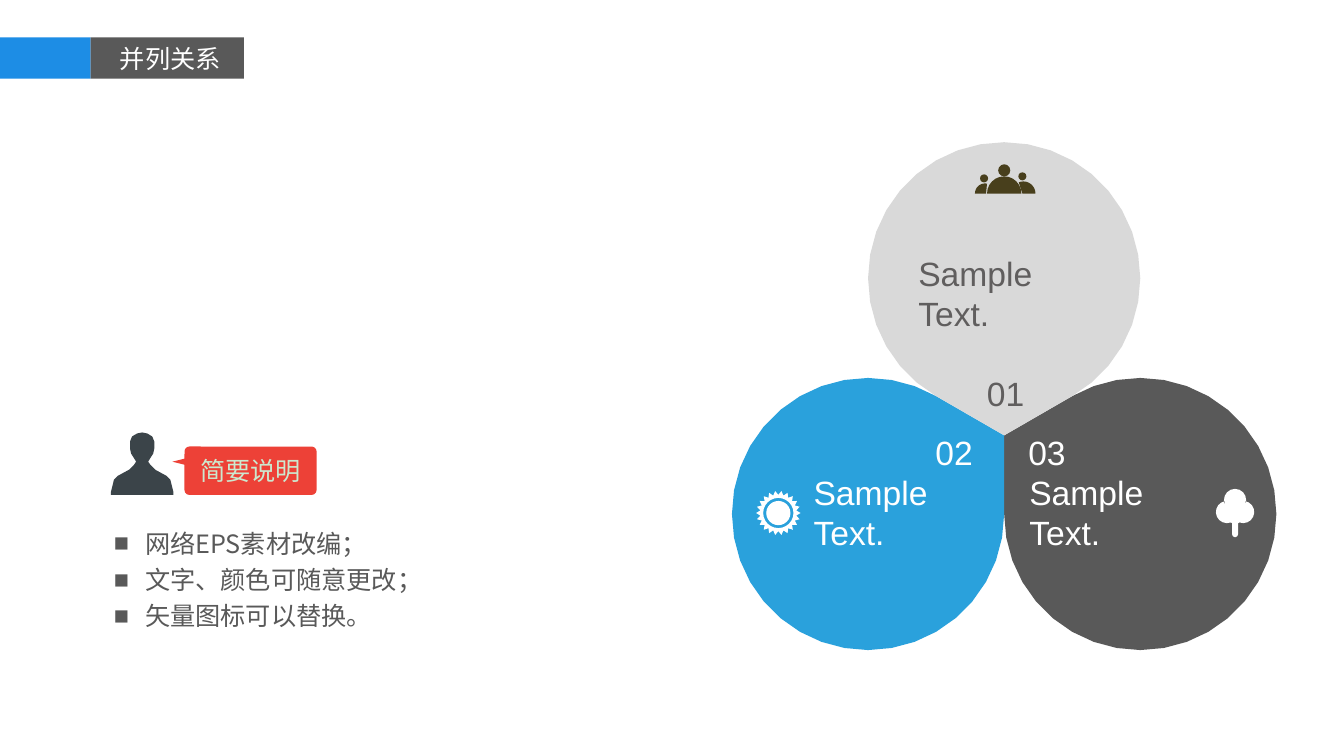
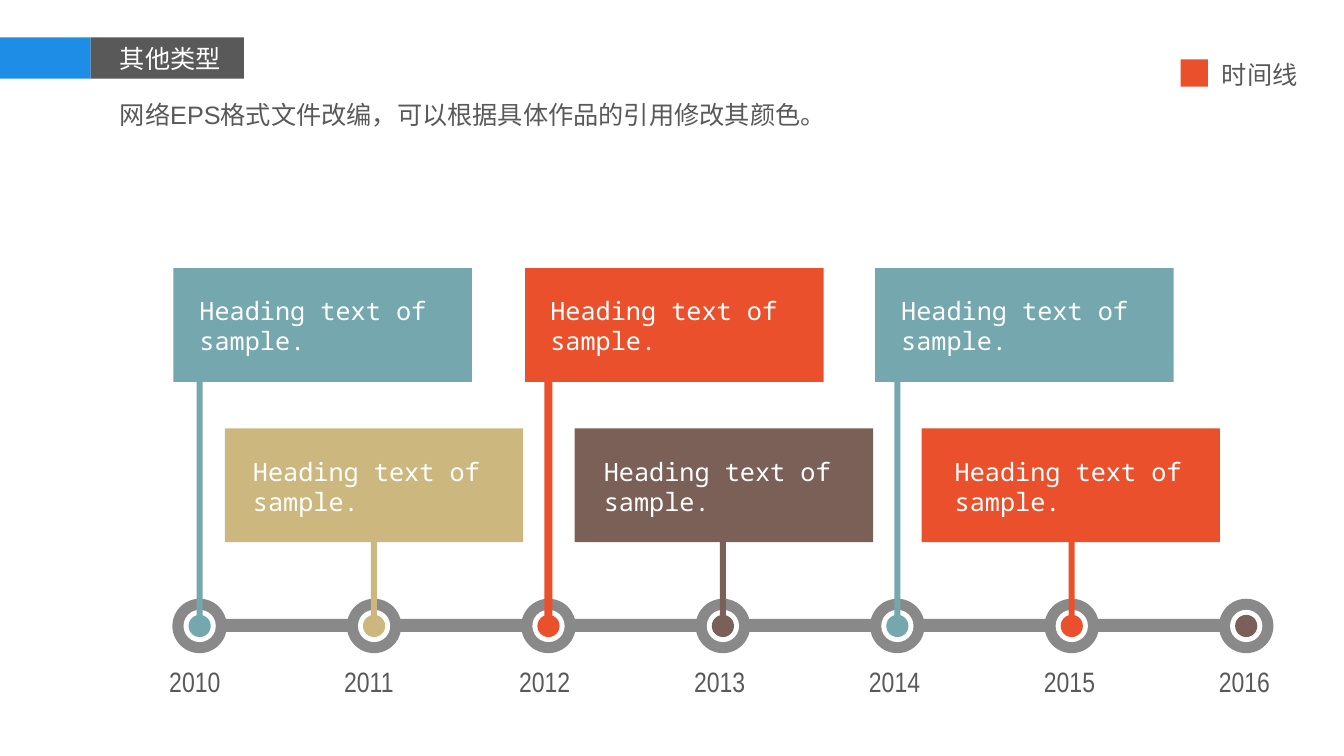
from dataclasses import dataclass
from math import cos, hypot, pi, radians, sin

from lxml.etree import SubElement
from pptx import Presentation
from pptx.dml.color import RGBColor
from pptx.enum.shapes import MSO_SHAPE
from pptx.enum.text import MSO_ANCHOR, PP_ALIGN
from pptx.oxml.ns import qn
from pptx.util import Inches, Pt


@dataclass(frozen=True)
class Theme:
    white: str = "FFFFFF"
    blue: str = "1D8DE5"
    dark: str = "595959"
    petal_blue: str = "2AA1DC"
    petal_grey: str = "D9D9D9"
    petal_text: str = "605E5E"
    people: str = "483F1C"
    person: str = "3B4449"
    tag: str = "ED4137"
    tag_text: str = "CCE8CF"
    track: str = "898989"
    teal: str = "74A7AE"
    sand: str = "CCB77F"
    orange: str = "EA502C"
    brown: str = "7B6057"
    sans: str = "Arial"
    narrow: str = "Arial Narrow"
    cjk: str = "Noto Sans CJK SC"
    mono: str = "Noto Sans Mono"
    body: int = 18
    year: int = 20
    large: int = 24


THEME = Theme()


# Basic elements

def paint(shape, color):
    shape.shadow.inherit = False
    shape.fill.solid()
    shape.fill.fore_color.rgb = RGBColor.from_string(color)
    shape.line.fill.background()
    return shape


def add_block(slide, left, top, width, height, color, kind=MSO_SHAPE.RECTANGLE):
    shape = slide.shapes.add_shape(
        kind, Inches(left), Inches(top), Inches(width), Inches(height))
    return paint(shape, color)


def add_disc(slide, x, y, radius, color):
    add_block(slide, x - radius, y - radius, 2 * radius, 2 * radius,
              color, MSO_SHAPE.OVAL)


def add_outline(slide, color, *contours):
    """One shape from closed contours; a second contour cuts a hole."""
    builder = None
    for contour in contours:
        start, *rest = [(Inches(x), Inches(y)) for x, y in contour]
        if builder is None:
            builder = slide.shapes.build_freeform(*start)
        else:
            builder.move_to(*start)
        builder.add_line_segments(rest, close=True)
    paint(builder.convert_to_shape(), color)


def arc(x, y, radius, first, last, steps):
    """Points on a circle, in degrees clockwise from the right."""
    angles = [radians(first + (last - first) * i / steps) for i in range(steps + 1)]
    return [(x + radius * cos(a), y + radius * sin(a)) for a in angles]


def style_paragraph(paragraph, color, font, size):
    paragraph.font.name = font
    paragraph.font.size = Pt(size)
    paragraph.font.color.rgb = RGBColor.from_string(color)
    defaults = paragraph._p.pPr.find(qn("a:defRPr"))
    SubElement(defaults, qn("a:ea")).set("typeface", THEME.cjk)


def add_text(slide, left, top, width, height, lines, color,
             font=THEME.sans, size=THEME.body):
    box = slide.shapes.add_textbox(
        Inches(left), Inches(top), Inches(width), Inches(height))
    frame = box.text_frame
    frame.word_wrap = True
    frame.text = lines
    for paragraph in frame.paragraphs:
        style_paragraph(paragraph, color, font, size)
    return frame


def add_bullet(paragraph):
    paragraph.line_spacing = 1.2
    properties = paragraph._p.pPr
    properties.set("marL", str(Inches(0.31)))
    properties.set("indent", str(-Inches(0.31)))
    defaults = properties.find(qn("a:defRPr"))
    for tag, name, value in (("a:buFont", "typeface", THEME.sans),
                             ("a:buChar", "char", "■")):
        defaults.addprevious(properties.makeelement(qn(tag), {name: value}))


def add_header(slide, title):
    add_block(slide, 0, 0.37, 0.9, 0.41, THEME.blue)
    add_block(slide, 0.9, 0.37, 1.52, 0.41, THEME.dark)
    add_text(slide, 1.09, 0.38, 1.27, 0.4, title, THEME.white)


# Icons

def add_person(slide, x):
    profile = [(0, 4.29), (0.05, 4.3), (0.1, 4.33), (0.12, 4.38), (0.12, 4.45),
               (0.11, 4.5), (0.09, 4.53), (0.06, 4.58), (0.08, 4.61),
               (0.13, 4.66), (0.24, 4.72), (0.28, 4.76), (0.31, 4.88), (0.31, 4.91)]
    right = [(x + dx, y) for dx, y in profile]
    left = [(x - dx, y) for dx, y in reversed(profile[1:])]
    add_outline(slide, THEME.person, right + left)


def add_people(slide, x, base):
    for dx, rise, radius in ((0, 0.23, 0.06), (0.18, 0.17, 0.04), (-0.2, 0.15, 0.04)):
        add_disc(slide, x + dx, base - rise, radius, THEME.people)
    add_outline(slide, THEME.people, arc(x, base, 0.17, 180, 360, 12))
    # Neighbours stop short of the middle shoulders
    gap = 0.18
    for side, radius in ((-1, 0.1), (1, 0.12)):
        dome = arc(x + side * 0.19, base, radius, 90 - side * 90, 90 - side * 270, 16)
        wing = [(px, py) for px, py in dome if hypot(px - x, py - base) >= gap]
        add_outline(slide, THEME.people, wing + [(x + side * gap, base)])


def add_sun(slide, x, y):
    teeth = 22
    rays = []
    for i in range(2 * teeth):
        radius = 0.18 if i % 2 else 0.22
        rays.append((x + radius * cos(pi * i / teeth), y + radius * sin(pi * i / teeth)))
    add_disc(slide, x, y, 0.12, THEME.white)
    add_outline(slide, THEME.white, rays, arc(x, y, 0.15, 360, 0, 24))


def add_tree(slide, x, y):
    crown = (arc(x - 0.08, y, 0.11, 70, 260, 9)
             + arc(x, y - 0.12, 0.11, 155, 385, 10)
             + arc(x + 0.08, y, 0.11, -80, 110, 9))
    trunk = arc(x, y + 0.22, 0.03, 0, 180, 4)
    add_outline(slide, THEME.white,
                crown + [(x + 0.03, y + 0.11)] + trunk + [(x - 0.03, y + 0.11)])


# Slide parts

def add_petal(slide, turn, color):
    """A circle drawn out to a tip at the hub, turned about the hub."""
    hub_x, hub_y, radius = 9.96, 4.32, 1.35
    distance = radius / cos(radians(30))  # sides are tangents 30° off the axis
    angle = radians(turn)
    x, y = hub_x + distance * sin(angle), hub_y - distance * cos(angle)
    edge = arc(x, y, radius, turn + 120, turn + 420, 30)
    add_outline(slide, color, [(hub_x, hub_y)] + edge)


def add_tag(slide, label):
    tag = add_block(slide, 1.83, 4.43, 1.31, 0.48, THEME.tag,
                    MSO_SHAPE.ROUNDED_RECTANGLE)
    tag.adjustments[0] = 0.1
    frame = tag.text_frame
    frame.margin_left = frame.margin_right = frame.margin_top = frame.margin_bottom = 0
    frame.vertical_anchor = MSO_ANCHOR.MIDDLE
    frame.text = label
    frame.paragraphs[0].alignment = PP_ALIGN.CENTER
    style_paragraph(frame.paragraphs[0], THEME.tag_text, THEME.cjk, THEME.body)
    pointer = add_block(slide, 1.75, 4.5, 0.08, 0.16, THEME.tag,
                        MSO_SHAPE.ISOSCELES_TRIANGLE)
    pointer.rotation = 270


def build_petals(slide):
    add_header(slide, "并列关系")

    # Short description
    add_person(slide, 1.41)
    notes = add_text(slide, 1.03, 5.13, 3.89, 1.19,
                     "网络EPS素材改编；\n文字、颜色可随意更改；\n矢量图标可以替换。",
                     THEME.dark, THEME.cjk)
    for paragraph in notes.paragraphs:
        add_bullet(paragraph)
    add_tag(slide, "简要说明")

    # Petals: number, turn, fill, text colour, number place, label place
    petals = [
        ("03", 120, THEME.dark, THEME.white, (10.1, 4.24), (10.11, 4.63)),
        ("02", 240, THEME.petal_blue, THEME.white, (9.18, 4.24), (7.97, 4.63)),
        ("01", 0, THEME.petal_grey, THEME.petal_text, (9.69, 3.65), (9.01, 2.46)),
    ]
    for number, turn, fill, ink, number_at, label_at in petals:
        add_petal(slide, turn, fill)
        add_text(slide, *number_at, 0.58, 0.5, number, ink, size=THEME.large)
        add_text(slide, *label_at, 1.95, 0.5, "Sample Text.", ink, size=THEME.large)
    add_people(slide, 9.96, 1.92)
    add_sun(slide, 7.72, 5.09)
    add_tree(slide, 12.25, 5.08)


def build_timeline(slide):
    add_header(slide, "其他类型")
    add_text(slide, 12.02, 0.54, 0.96, 0.4, "时间线", THEME.dark)
    add_block(slide, 11.71, 0.59, 0.27, 0.27, THEME.orange)
    add_text(slide, 1.09, 0.94, 7.13, 0.4,
             "网络EPS格式文件改编，可以根据具体作品的引用修改其颜色。", THEME.dark)

    # Track with a ringed dot for each year
    first_x, pitch, track_y = 1.98, 1.73, 6.21
    add_block(slide, 1.99, 6.14, 10.41, 0.13, THEME.track)
    colors = [THEME.teal, THEME.sand, THEME.orange, THEME.brown,
              THEME.teal, THEME.orange, THEME.brown]
    for i, color in enumerate(colors):
        x = first_x + i * pitch
        for radius, ring in ((0.27, THEME.track), (0.16, THEME.white), (0.11, color)):
            add_disc(slide, x, track_y, radius, ring)
        add_text(slide, 1.58 + i * 1.735, 6.54, 0.75, 0.44, str(2010 + i),
                 THEME.dark, THEME.narrow, THEME.year)

    # Cards: left; stem top and width
    cards = [(1.72, 2.88, 0.06), (2.23, 4.37, 0.06), (5.21, 3.27, 0.08),
             (5.7, 4.75, 0.06), (8.68, 3.46, 0.06), (9.14, 4.75, 0.06)]
    # Upper and lower tier: card top, first text left, text top
    tiers = [(2.66, 1.88, 2.88), (4.25, 2.41, 4.48)]
    for i, (left, stem_top, stem_width) in enumerate(cards):
        top, text_left, text_top = tiers[i % 2]
        x = first_x + i * pitch
        add_block(slide, left, top, 2.96, 1.13, colors[i])
        add_block(slide, x - stem_width / 2, stem_top, stem_width,
                  track_y - stem_top, colors[i])
        add_text(slide, text_left + i // 2 * 3.48, text_top, 2.59, 0.71,
                 "Heading text of sample.", THEME.white, THEME.mono)


def main():
    deck = Presentation()
    deck.slide_width, deck.slide_height = Inches(13.33), Inches(7.5)
    for build in (build_petals, build_timeline):
        build(deck.slides.add_slide(deck.slide_layouts[6]))
    deck.save("out.pptx")


if __name__ == "__main__":
    main()
